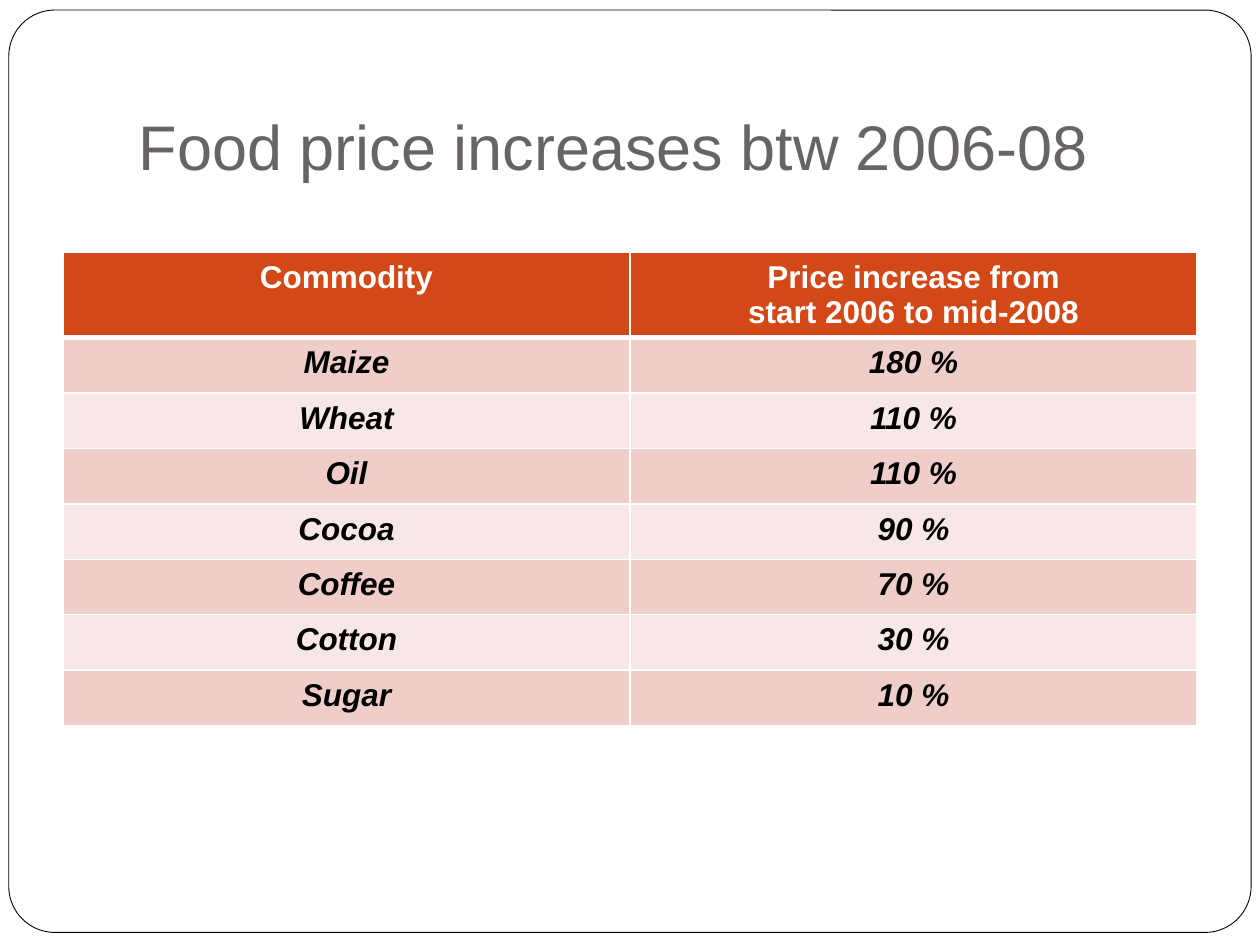
import pptx
import pptx.dml.color
import pptx.enum.shapes
import pptx.enum.text
import pptx.oxml
import pptx.oxml.ns
import pptx.util

RGB = pptx.dml.color.RGBColor
WHITE = RGB(0xFF, 0xFF, 0xFF)
BLACK = RGB(0x00, 0x00, 0x00)
GREY = RGB(0x69, 0x64, 0x64)
ORANGE = RGB(0xD3, 0x48, 0x17)
BANDS = (RGB(0xEF, 0xCE, 0xCA), RGB(0xF7, 0xE8, 0xE7))

HEADER = ("Commodity", "Price increase from\nstart 2006 to mid-2008")
PRICES = (
    ("Maize", "180 %"),
    ("Wheat", "110 %"),
    ("Oil", "110 %"),
    ("Cocoa", "90 %"),
    ("Coffee", "70 %"),
    ("Cotton", "30 %"),
    ("Sugar", "10 %"),
)


def px(*lengths):
    return [pptx.util.Emu(n * 9144) for n in lengths]


class SlideBuilder:
    """Holds the style and the current slide, and adds elements to it."""

    font = "Arial"
    title_size = 36
    cell_size = 18

    def __init__(self, prs):
        self.s = prs.slides.add_slide(prs.slide_layouts[5])

    def style(self, tf, size, color, align, bold=False, italic=False):
        for p in tf.paragraphs:
            p.alignment = align
            for r in p.runs:
                r.font.name = self.font
                r.font.size = pptx.util.Pt(size)
                r.font.color.rgb = color
                r.font.bold = bold
                r.font.italic = italic

    def frame(self, x, y, w, h):
        kind = pptx.enum.shapes.MSO_SHAPE.ROUNDED_RECTANGLE
        sp = self.s.shapes.add_shape(kind, *px(x, y, w, h))
        sp.adjustments[0] = 0.05
        sp.shadow.inherit = False
        sp.fill.solid()
        sp.fill.fore_color.rgb = WHITE
        sp.line.color.rgb = BLACK
        sp.line.width = pptx.util.Pt(0.5)
        self.s.shapes.title.element.addprevious(sp.element)

    def title(self, text, x, y, w, h):
        sp = self.s.shapes.title
        sp.left, sp.top, sp.width, sp.height = px(x, y, w, h)
        tf = sp.text_frame
        tf.text = text
        tf.word_wrap = True
        tf.auto_size = pptx.enum.text.MSO_AUTO_SIZE.NONE
        tf.vertical_anchor = pptx.enum.text.MSO_ANCHOR.BOTTOM
        tf.margin_left, tf.margin_top, tf.margin_right, tf.margin_bottom = px(10, 5, 10, 10)
        self.style(tf, self.title_size, GREY, pptx.enum.text.PP_ALIGN.LEFT)

    def borders(self, cell, top, bottom):
        tc_pr = cell._tc.get_or_add_tcPr()
        for side, width in (("L", 1), ("R", 1), ("T", top), ("B", bottom)):
            tc_pr.append(pptx.oxml.parse_xml(
                f'<a:ln{side} {pptx.oxml.ns.nsdecls("a")} w="{pptx.util.Pt(width)}">'
                f'<a:solidFill><a:srgbClr val="{WHITE}"/></a:solidFill></a:ln{side}>'))

    def cell(self, cell, text, row):
        cell.text = text
        cell.margin_left, cell.margin_top, cell.margin_right, cell.margin_bottom = px(6, 6, 6, 6)
        self.borders(cell, 3 if row == 1 else 1, 3 if row == 0 else 1)
        cell.fill.solid()
        cell.fill.fore_color.rgb = BANDS[(row - 1) % 2] if row else ORANGE
        self.style(cell.text_frame, self.cell_size, BLACK if row else WHITE,
                   pptx.enum.text.PP_ALIGN.CENTER, bold=True, italic=row > 0)

    def table(self, rows, x, y, w, header_h, row_h):
        h = header_h + row_h * (len(rows) - 1)
        table = self.s.shapes.add_table(len(rows), len(rows[0]), *px(x, y, w, h)).table
        for i, texts in enumerate(rows):
            table.rows[i].height = px(row_h if i else header_h)[0]
            for j, text in enumerate(texts):
                self.cell(table.cell(i, j), text, i)


def main():
    prs = pptx.Presentation()
    prs.slide_width, prs.slide_height = px(1000, 750)
    slide = SlideBuilder(prs)
    slide.frame(7, 8, 986, 732)
    slide.title("Food price increases btw 2006-08", 100, 30, 850, 125)
    slide.table((HEADER, *PRICES), 50, 200, 900, header_h=67, row_h=44)
    prs.save("out.pptx")


if __name__ == "__main__":
    main()
